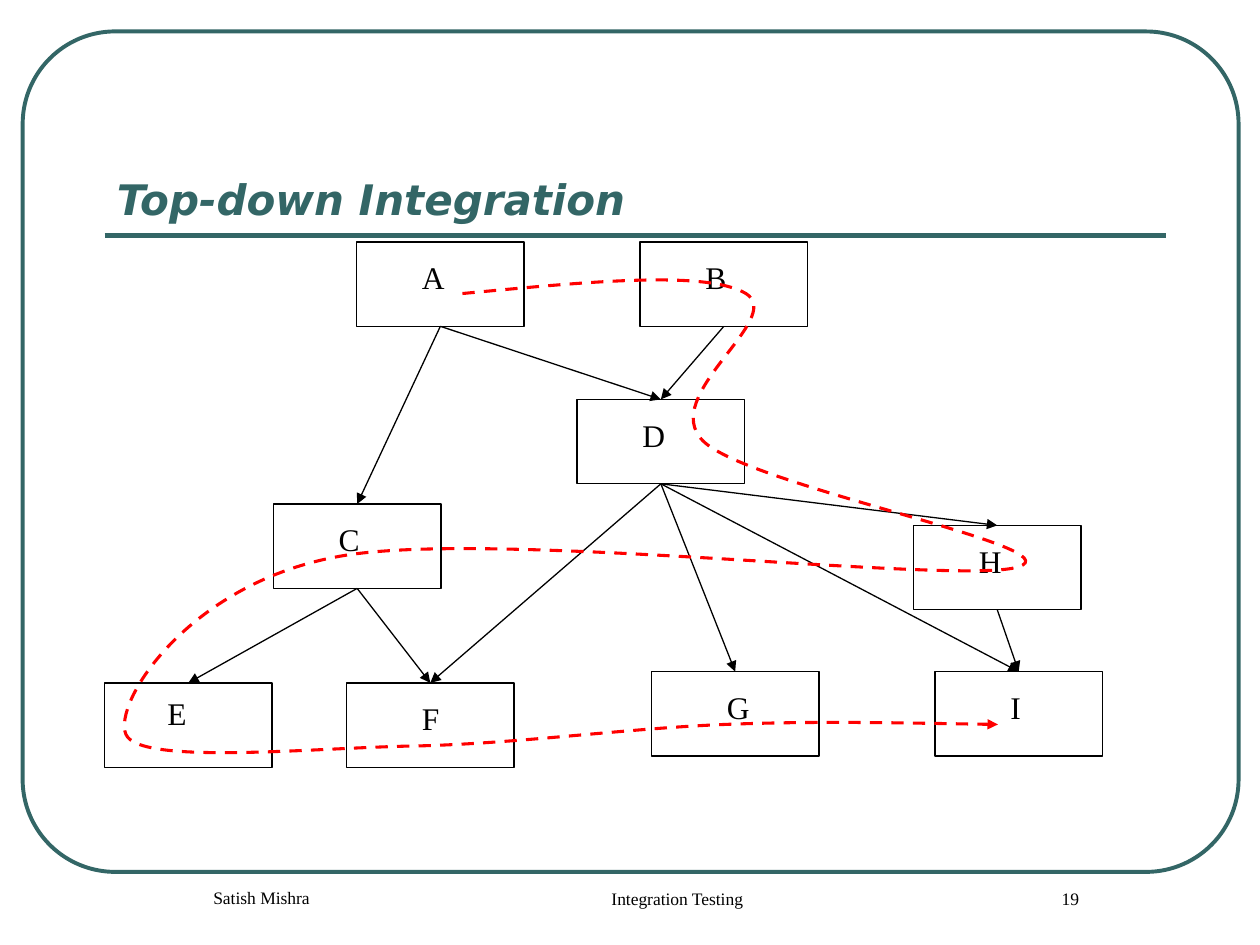
from lxml.etree import SubElement
from pptx import Presentation
from pptx.dml.color import RGBColor
from pptx.enum.dml import MSO_LINE
from pptx.enum.shapes import MSO_CONNECTOR as Line, MSO_SHAPE as Shape
from pptx.enum.text import MSO_ANCHOR as Anchor, MSO_AUTO_SIZE as AutoSize, PP_ALIGN as Align
from pptx.oxml.ns import qn
from pptx.util import Inches, Pt

TEAL = RGBColor(0x33, 0x66, 0x66)
BLACK = RGBColor(0, 0, 0)
RED = RGBColor(0xFF, 0, 0)

# Content: module -> box left, box top, label offset x, label offset y, label width
MODULES = {
    "A": (2.83, 1.92, 0.42, 0.08, 0.38),
    "B": (5.08, 1.92, 0.42, 0.08, 0.36),
    "C": (2.17, 4, 0.42, 0.08, 0.36),
    "D": (4.58, 3.17, 0.42, 0.08, 0.38),
    "E": (0.83, 5.42, 0.4, 0.04, 0.35),
    "F": (2.75, 5.42, 0.5, 0.08, 0.34),
    "G": (5.17, 5.33, 0.5, 0.08, 0.38),
    "H": (7.25, 4.17, 0.42, 0.08, 0.38),
    "I": (7.42, 5.33, 0.5, 0.08, 0.28),
}
BOX_W, BOX_H = 1.33, 0.67
CALLS = ["AC", "AD", "BD", "CE", "CF", "DF", "DG", "DH", "DI", "HI"]

# Integration order: start point, then two control points and an end per curve
ORDER_START = (3.67, 2.33)
ORDER_CURVES = [
    (4.63, 2.24), (5.6, 2.14), (5.92, 2.33),
    (6.24, 2.53), (5.22, 3.14), (5.58, 3.5),
    (5.94, 3.86), (8.57, 4.35), (8.08, 4.5),
    (7.6, 4.65), (3.85, 4.19), (2.67, 4.42),
    (1.49, 4.64), (0.89, 5.58), (1, 5.83),
    (1.11, 6.08), (2.54, 5.93), (3.33, 5.92),
    (4.12, 5.9), (4.99, 5.78), (5.75, 5.75),
    (6.51, 5.72), (7.22, 5.74), (7.92, 5.75),
]
FOOTERS = [
    ("Satish Mishra", 0.83, 6.99, 2.25),
    ("Integration Testing", 3.67, 7, 3.17),
    ("19", 7.5, 7, 1.75),
]

TITLE_FONT = {"name": "DejaVu Sans", "size": Pt(24), "bold": True, "italic": True}
LABEL_FONT = {"name": "Times New Roman", "size": Pt(18)}
FOOTER_FONT = {"name": "Times New Roman", "size": Pt(10)}

prs = Presentation()
prs.slide_width, prs.slide_height = Inches(10), Inches(7.5)
slide = prs.slides.add_slide(prs.slide_layouts[6])
shapes = slide.shapes


def style_line(part, color, width, arrow=False):
    part.line.color.rgb = color
    part.line.width = Pt(width)
    if arrow:
        SubElement(part.line._get_or_add_ln(), qn("a:tailEnd"), type="triangle")


def add_outline(kind, left, top, width, height, color, weight):
    outline = shapes.add_shape(kind, *map(Inches, (left, top, width, height)))
    outline.shadow.inherit = False
    outline.fill.background()
    style_line(outline, color, weight)
    return outline


def add_line(start, end, color, weight, arrow=False):
    line = shapes.add_connector(Line.STRAIGHT, *map(Inches, start + end))
    style_line(line, color, weight, arrow)
    SubElement(line._element.spPr, qn("a:effectLst"))
    return line


def add_text(words, left, top, width, height, font, color=BLACK, wrap=True):
    frame = shapes.add_textbox(*map(Inches, (left, top, width, height))).text_frame
    frame.word_wrap = wrap
    paragraph = frame.paragraphs[0]
    run = paragraph.add_run()
    run.text = words
    run.font.color.rgb = color
    for key, value in font.items():
        setattr(run.font, key, value)
    return frame


# Frame, title and rule
frame_outline = add_outline(Shape.ROUNDED_RECTANGLE, 0.18, 0.25, 9.65, 6.67, TEAL, 2.25)
frame_outline.adjustments[0] = 0.11
add_line((0.83, 1.87), (9.25, 1.87), TEAL, 3)
title = add_text("Top-down Integration", 0.83, 0.58, 8.42, 1.25, TITLE_FONT, TEAL)
title.vertical_anchor = Anchor.BOTTOM

# Modules
boxes = {}
for name, (left, top, dx, dy, label_w) in MODULES.items():
    boxes[name] = add_outline(Shape.RECTANGLE, left, top, BOX_W, BOX_H, BLACK, 0.75)
    label = add_text(name, left + dx, top + dy, label_w, 0.4, LABEL_FONT, wrap=False)
    label.auto_size = AutoSize.SHAPE_TO_FIT_TEXT

# Calls run from the bottom of the caller to the top of the callee
for caller, callee in CALLS:
    call = add_line((0, 0), (1, 1), BLACK, 0.75, arrow=True)
    call.begin_connect(boxes[caller], 2)
    call.end_connect(boxes[callee], 0)

# Integration order: every three points become one Bezier curve
builder = shapes.build_freeform(*map(Inches, ORDER_START))
builder.add_line_segments([(Inches(x), Inches(y)) for x, y in ORDER_CURVES], close=False)
order = builder.convert_to_shape()
order.shadow.inherit = False
order.fill.background()
order.line.dash_style = MSO_LINE.DASH
style_line(order, RED, 1.75, arrow=True)
segments = list(order._element.iter(qn("a:lnTo")))
for i in range(0, len(segments), 3):
    curve = SubElement(segments[i].getparent(), qn("a:cubicBezTo"))
    for segment in segments[i:i + 3]:
        curve.append(segment[0])
        segment.getparent().remove(segment)

# Footers
for words, left, top, width in FOOTERS:
    paragraph = add_text(words, left, top, width, 0.5, FOOTER_FONT).paragraphs[0]
    paragraph.alignment = Align.CENTER
    properties = paragraph._p.get_or_add_pPr()
    properties.set("marL", str(Inches(0.24)))
    properties.set("indent", "0")

prs.save("out.pptx")
